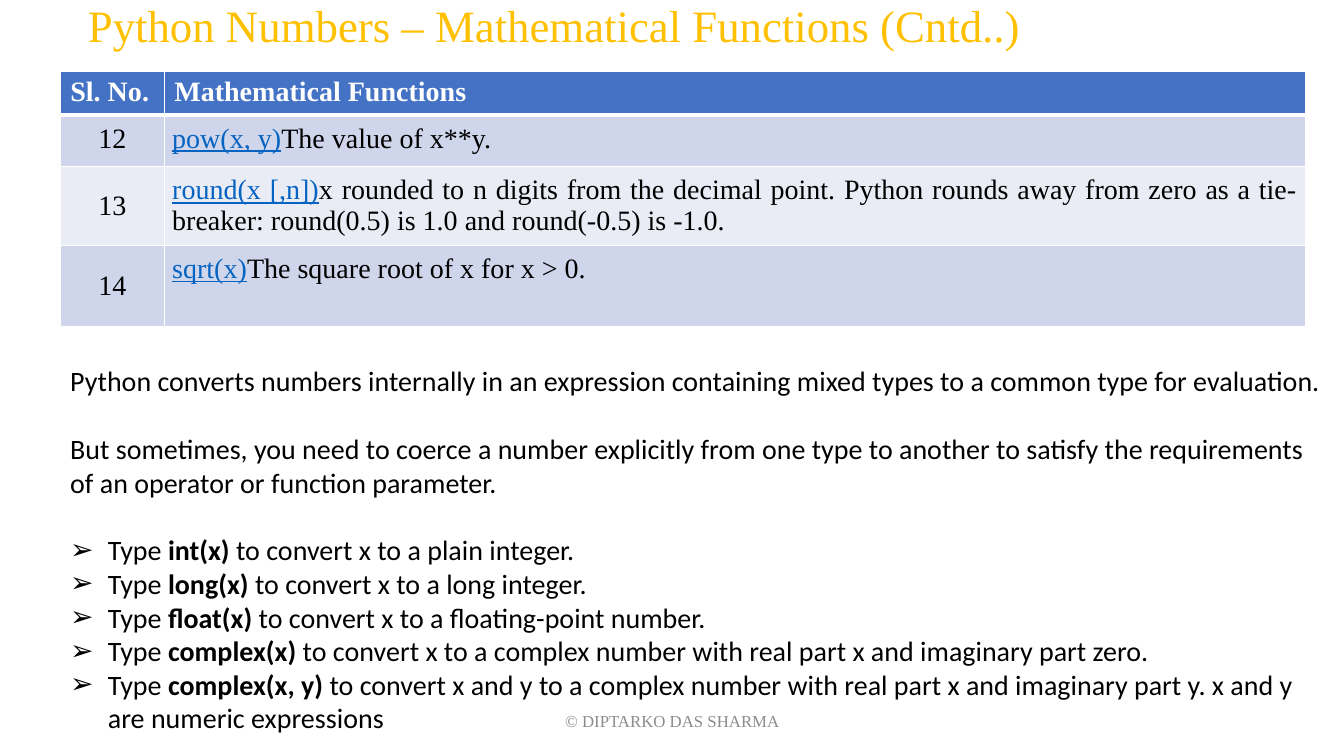
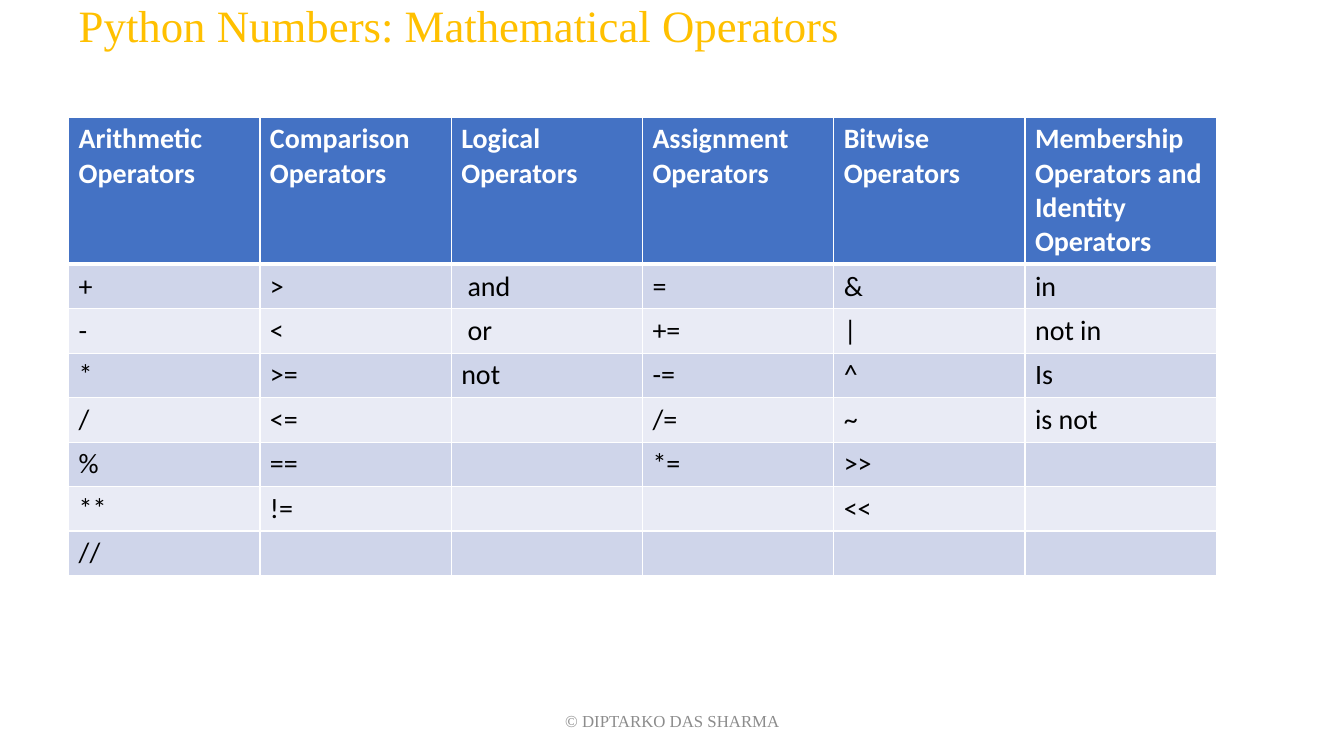
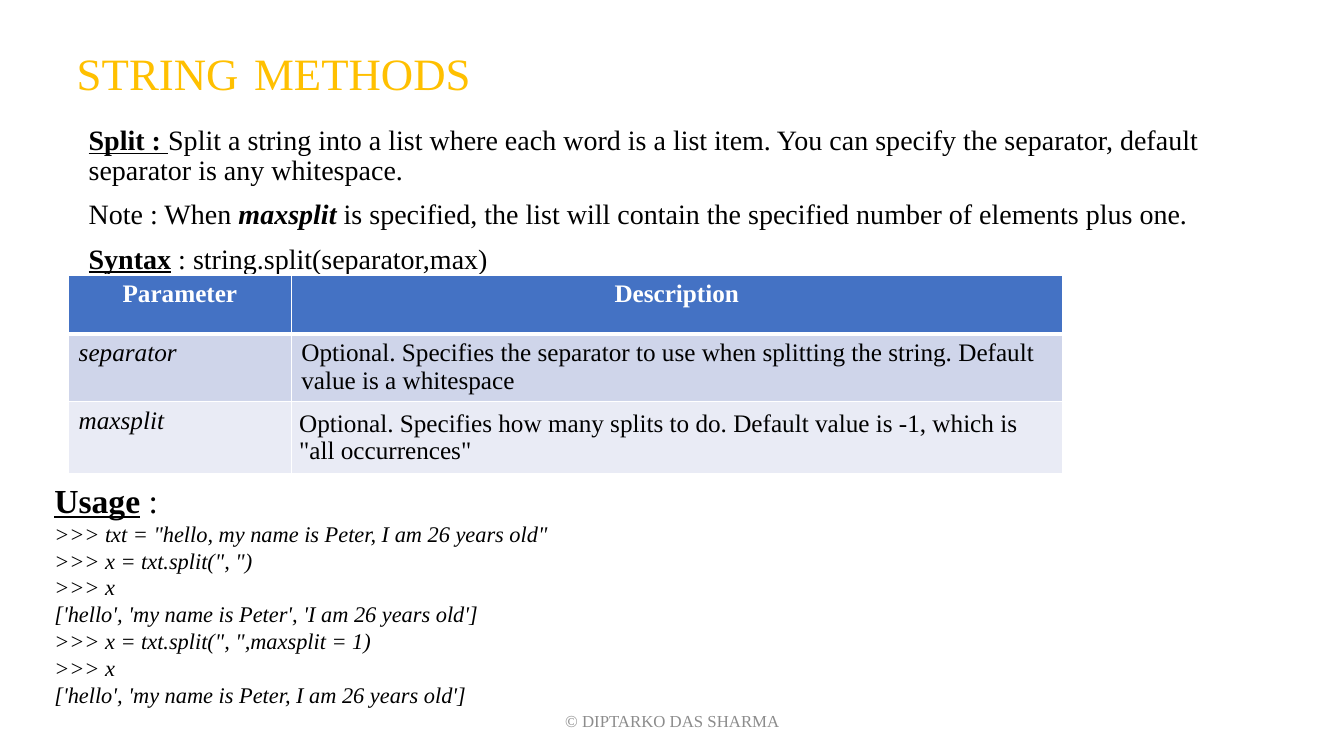
from lxml import etree
from pptx import Presentation
from pptx import util as u
from pptx.dml.color import RGBColor
from pptx.enum import text
from pptx.oxml.ns import qn

SERIF, SANS = "Times New Roman", "Calibri"
GOLD, BLACK, WHITE, GREY = "FFC000", "000000", "FFFFFF", "8C8C8C"
HEADER, LINK, BANDS = "4472C4", "0563C1", ("CFD5EA", "E9EBF5")
LEFT, CENTER, JUSTIFY = text.PP_ALIGN.LEFT, text.PP_ALIGN.CENTER, text.PP_ALIGN.JUSTIFY
TOP, MIDDLE = text.MSO_ANCHOR.TOP, text.MSO_ANCHOR.MIDDLE

B, I = {"bold": True}, {"italic": True}
BU = {"bold": True, "underline": True}
URL = {"color": LINK, "underline": True}
FOOTER = "© DIPTARKO DAS SHARMA"

FUNCTIONS = [
    ["Sl. No.", "Mathematical Functions"],
    ["12", [("pow(x, y)", URL), "The value of x**y."]],
    ["13", [("round(x [,n])", URL),
            "x rounded to n digits from the decimal point. Python rounds away from zero "
            "as a tie-breaker: round(0.5) is 1.0 and round(-0.5) is -1.0."]],
    ["14", [("sqrt(x)", URL), "The square root of x for x > 0."]],
]
CONVERSION = [
    "Python converts numbers internally in an expression containing mixed types to a "
    "common type for evaluation.",
    "But sometimes, you need to coerce a number explicitly from one type to another to "
    "satisfy the requirements of an operator or function parameter.",
]
CONVERTERS = [
    ("int(x)", "x to a plain integer."),
    ("long(x)", "x to a long integer."),
    ("float(x)", "x to a floating-point number."),
    ("complex(x)", "x to a complex number with real part x and imaginary part zero."),
    ("complex(x, y)", "x and y to a complex number with real part x and imaginary part y. "
                      "x and y are numeric expressions"),
]
OPERATORS = [
    ["Arithmetic Operators", "Comparison Operators", "Logical Operators",
     "Assignment Operators", "Bitwise Operators",
     "Membership Operators and\nIdentity Operators"],
    ["+", ">", " and", "=", "&", "in"],
    ["-", "<", " or", "+=", "|", "not in"],
    ["*", ">=", "not", "-=", "^", "Is"],
    ["/", "<=", "", "/=", "~", "is not"],
    ["%", "==", "", "*=", ">>", ""],
    ["**", "!=", "", "", "<<", ""],
    ["//", "", "", "", "", ""],
]
SPLIT = [
    [("Split : ", BU), "Split a string into a list where each word is a list item. You can "
     "specify the separator, default separator is any whitespace."],
    ["Note : When ", ("maxsplit", {**B, **I}),
     " is specified, the list will contain the specified number of elements plus one."],
    [("Syntax", BU), " : string.split(separator,max)"],
]
PARAMETERS = [
    ["Parameter", "Description"],
    [[("separator", I)], "Optional. Specifies the separator to use when splitting the "
     "string. Default value is a whitespace"],
    [[("maxsplit", I)], "Optional. Specifies how many splits to do. Default value is -1, "
     "which is \"all occurrences\""],
]
USAGE = [
    ">>> txt = \"hello, my name is Peter, I am 26 years old\"",
    ">>> x = txt.split(\", \")",
    ">>> x",
    "['hello', 'my name is Peter', 'I am 26 years old']",
    ">>> x = txt.split(\", \",maxsplit = 1)",
    ">>> x",
    "['hello', 'my name is Peter, I am 26 years old']",
]


def rgb(value):
    return RGBColor.from_string(value)


def put(obj, values):
    for name, value in values.items():
        setattr(obj, name, value)


def place(sp, box):
    put(sp, dict(zip(("left", "top", "width", "height"), map(u.Cm, box))))


def style(size, name=SERIF, color=BLACK, **more):
    return {"size": size, "name": name, "color": color, "bold": False, **more}


def write(tf, paras, base, first=True, **layout):
    for i, runs in enumerate(paras):
        p = tf.paragraphs[0] if first and i == 0 else tf.add_paragraph()
        put(p, layout)
        if first and i == 0:
            p.space_before = u.Pt(0)
        for item in [runs] if isinstance(runs, str) else runs:
            words, extra = (item, {}) if isinstance(item, str) else item
            if not words:
                continue
            values = {**base, **extra}
            r = p.add_run()
            r.text = words
            r.font.color.rgb = rgb(values.pop("color"))
            values["size"] = u.Pt(values["size"])
            put(r.font, values)


def bullet(p, char, indent):
    pPr = p._p.get_or_add_pPr()
    pPr.set("marL", str(u.Cm(indent)))
    pPr.set("indent", str(-u.Cm(indent)))
    if char:
        etree.SubElement(pPr, qn("a:buFont")).set("typeface", "Arial")
        etree.SubElement(pPr, qn("a:buChar")).set("char", char)
    else:
        etree.SubElement(pPr, qn("a:buNone"))


def frame(sp, anchor=TOP):
    tf = sp.text_frame
    put(tf, {"word_wrap": True, "auto_size": text.MSO_AUTO_SIZE.NONE,
             "vertical_anchor": anchor})
    return tf


def textbox(s, box):
    return frame(s.shapes.add_textbox(*map(u.Cm, box)))


def new_slide(prs, layout, title, box):
    s = prs.slides.add_slide(prs.slide_layouts[layout])
    place(s.shapes.title, box)
    write(frame(s.shapes.title, MIDDLE), [title], style(32, color=GOLD),
          alignment=LEFT, line_spacing=0.9)
    tf = textbox(s, (11.23, 17.65, 11.43, 1.02))
    tf.vertical_anchor = MIDDLE
    write(tf, [FOOTER], style(12, color=GREY), alignment=CENTER)
    return s


def borders(cell, row):
    tcPr = cell._tc.get_or_add_tcPr()
    widths = {"lnL": 1, "lnR": 1, "lnT": 3 if row == 1 else 1, "lnB": 3 if row == 0 else 1}
    for side, width in widths.items():
        ln = etree.SubElement(tcPr, qn("a:" + side), w=str(u.Pt(width)))
        fill = etree.SubElement(ln, qn("a:solidFill"))
        etree.SubElement(fill, qn("a:srgbClr"), val=WHITE)


def table(s, data, corner, cols, rows, base, look):
    box = (*corner, sum(cols), sum(rows))
    tbl = s.shapes.add_table(len(rows), len(cols), *map(u.Cm, box)).table
    for col, width in zip(tbl.columns, cols):
        col.width = u.Cm(width)
    for y, height in enumerate(rows):
        tbl.rows[y].height = u.Cm(height)
        for x, content in enumerate(data[y]):
            cell = tbl.cell(y, x)
            align, anchor, margin = look(y, x)
            borders(cell, y)
            cell.fill.solid()
            cell.fill.fore_color.rgb = rgb(BANDS[(y - 1) % 2] if y else HEADER)
            cell.vertical_anchor = anchor
            if margin:
                put(cell, {"margin_" + side: u.Cm(margin)
                           for side in ("left", "right", "top", "bottom")})
            paras = content.split("\n") if isinstance(content, str) else [content]
            head = {} if y else {"color": WHITE, "bold": True}
            write(cell.text_frame, paras, {**base, **head}, alignment=align)


def functions_look(y, x):
    if y == 0:
        return LEFT, TOP, None
    return (JUSTIFY if x else CENTER), (MIDDLE if x == 0 and y > 1 else TOP), 0.2


def operators_look(y, x):
    return LEFT, TOP, None


def parameters_look(y, x):
    return (LEFT if y else CENTER), TOP, (0.2 if (y, x) == (2, 1) else None)


def functions_slide(prs):
    s = new_slide(prs, 5, "Python Numbers – Mathematical Functions (Cntd..)",
                  (1.96, 0.08, 27, 1.27))
    table(s, FUNCTIONS, (1.52, 1.8), (2.62, 28.75), (1.1, 1.3, 1.99, 2.03),
          style(20), functions_look)
    tf = textbox(s, (1.52, 9.04, 32.33, 9.65))
    base = style(20, SANS)
    write(tf, CONVERSION, base, space_before=u.Pt(24.4))
    items = [["Type ", (name, B), " to convert " + rest] for name, rest in CONVERTERS]
    write(tf, items, base, first=False)
    listed = tf.paragraphs[len(CONVERSION):]
    for p in listed:
        bullet(p, "➢", 0.95)
    listed[0].space_before = u.Pt(24.4)


def operators_slide(prs):
    s = new_slide(prs, 5, "Python Numbers: Mathematical Operators", (1.73, 0.13, 27, 1.14))
    table(s, OPERATORS, (1.73, 2.95), [4.82] * 6, [3.7] + [1.12] * 7,
          style(20, SANS), operators_look)


def methods_slide(prs):
    title = ["STRING", (" ", {"size": 44, "color": BLACK}), "METHODS"]
    s = new_slide(prs, 1, title, (1.68, 0.51, 29.21, 2.51))
    body = s.placeholders[1]
    place(body, (1.98, 3.05, 30.18, 14.88))
    tf = frame(body)
    write(tf, SPLIT, style(20), line_spacing=0.9, space_before=u.Pt(10))
    for p in tf.paragraphs:
        bullet(p, None, 0)
    table(s, PARAMETERS, (1.73, 6.93), (5.61, 19.43), (1.49, 1.7, 1.8),
          style(18), parameters_look)
    tf = textbox(s, (1.12, 11.96, 26.19, 7.09))
    write(tf, [[("Usage", BU), " :"]], style(24))
    write(tf, USAGE, style(16, italic=True), first=False)


def main():
    prs = Presentation()
    prs.slide_width, prs.slide_height = u.Cm(33.87), u.Cm(19.05)
    functions_slide(prs)
    operators_slide(prs)
    methods_slide(prs)
    prs.save("out.pptx")


if __name__ == "__main__":
    main()
